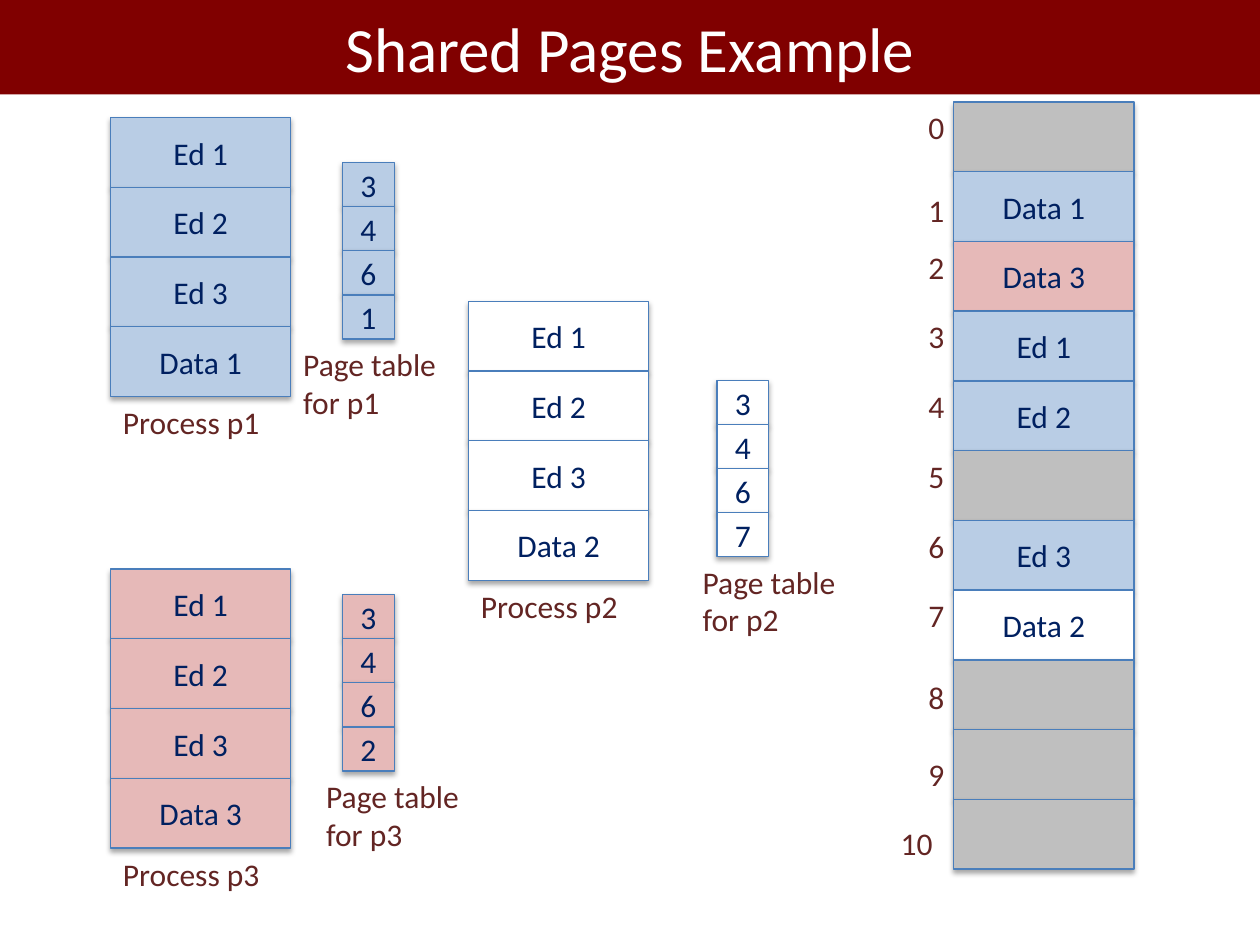
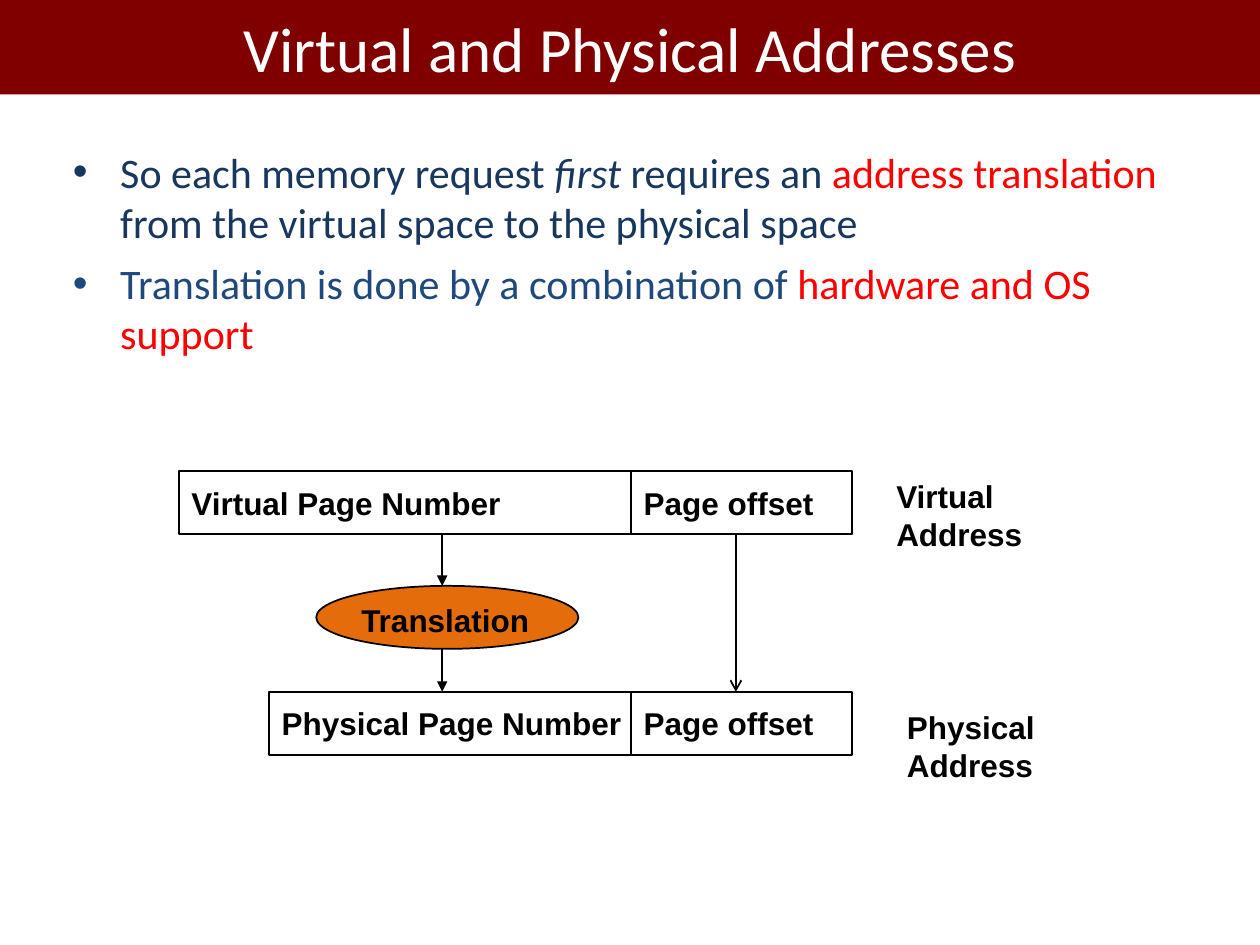
from lxml import etree
from pptx import Presentation
from pptx import util as u
from pptx.dml import color
from pptx.enum import shapes, text
from pptx.oxml import ns

COLORS = {
    "band": "800000",
    "white": "FFFFFF",
    "black": "000000",
    "free": "BFBFBF",
    "blue": "B9CDE5",
    "pink": "E6B9B8",
    "cell_line": "4A7EBB",
    "cell_text": "002060",
    "label": "632523",
    "translation": "E46C0A",
    "navy": "17375E",
    "body_blue": "1F497D",
    "red": "FF0000",
}
PAGE_WIDTH, PAGE_HEIGHT = 103, 39.85
ENTRY_WIDTH, ENTRY_HEIGHT = 29.5, 25.2
MEMORY_LEFT, MEMORY_TOP = 545, 58.3
FIELD_HEIGHT = 36
VIRTUAL_TOP, TRANSLATION_TOP, PHYSICAL_TOP = 269.3, 334.8, 395.3
OFFSET_LEFT, OFFSET_WIDTH = 360.7, 126


def rgb(name):
    return color.RGBColor.from_string(COLORS[name])


def add_element(parent, tag, **attributes):
    element = etree.SubElement(parent, ns.qn(tag))
    for name, value in attributes.items():
        element.set(name, str(value))
    return element


def write(shape, content, size=18, font="Calibri", ink="label", bold=False,
          align="LEFT", anchor="TOP", wrap=True):
    frame = shape.text_frame
    frame.word_wrap = wrap
    frame.vertical_anchor = getattr(text.MSO_ANCHOR, anchor)
    frame.text = content
    for paragraph in frame.paragraphs:
        paragraph.alignment = getattr(text.PP_ALIGN, align)
        for run in paragraph.runs:
            run.font.size = u.Pt(size)
            run.font.name = font
            run.font.bold = bold
            run.font.color.rgb = rgb(ink)


def add_box(slide, left, top, width, height, fill, line=None, weight=1,
            kind=shapes.MSO_SHAPE.RECTANGLE):
    shape = slide.shapes.add_shape(kind, u.Pt(left), u.Pt(top), u.Pt(width), u.Pt(height))
    shape.shadow.inherit = False
    shape.fill.solid()
    shape.fill.fore_color.rgb = rgb(fill)
    if line:
        shape.line.color.rgb = rgb(line)
        shape.line.width = u.Pt(weight)
    else:
        shape.line.fill.background()
    return shape


def add_label(slide, content, left, top, width, height=29, **style):
    shape = slide.shapes.add_textbox(u.Pt(left), u.Pt(top), u.Pt(width), u.Pt(height))
    write(shape, content, **style)


def add_shadow(shape):
    effects = shape._element.spPr.find(ns.qn("a:effectLst"))
    shadow = add_element(effects, "a:outerShdw", blurRad=u.Pt(3.1), dist=u.Pt(1.8),
                         dir=5400000, rotWithShape=0)
    shade = add_element(shadow, "a:srgbClr", val=COLORS["black"])
    add_element(shade, "a:alpha", val=35000)


def add_stack(slide, cells, left, top, width, height):
    for index, (content, fill) in enumerate(cells):
        cell = add_box(slide, left, top + index * height, width, height,
                       fill, "cell_line", 0.75)
        add_shadow(cell)
        if content:
            write(cell, content, ink="cell_text", align="CENTER", anchor="MIDDLE")


def add_process(slide, name, fill, pages, left, top):
    add_stack(slide, [(page, fill) for page in pages], left, top, PAGE_WIDTH, PAGE_HEIGHT)
    add_label(slide, f"Process {name}", left, top + 4 * PAGE_HEIGHT + 0.2, PAGE_WIDTH)


def add_page_table(slide, name, fill, frames, left, top, label_left, label_width):
    add_stack(slide, [(frame, fill) for frame in frames], left, top,
              ENTRY_WIDTH, ENTRY_HEIGHT)
    add_label(slide, f"Page table for {name}", label_left,
              top + 4 * ENTRY_HEIGHT - 0.2, label_width, 50.4)


def add_memory(slide, cells, nudges):
    add_stack(slide, cells, MEMORY_LEFT, MEMORY_TOP, PAGE_WIDTH, PAGE_HEIGHT)
    for number in range(len(cells)):
        left = MEMORY_LEFT - (21.6 if number < 10 else 37.4)
        top = MEMORY_TOP + number * PAGE_HEIGHT + nudges.get(number, 0)
        add_label(slide, str(number), left, top, 43.2)


def add_field(slide, content, left, top, width):
    field = add_box(slide, left, top, width, FIELD_HEIGHT, "white", "black")
    write(field, content, font="Arial", ink="black", bold=True,
          anchor="MIDDLE", wrap=False)


def add_arrow(slide, x, top, bottom, head):
    arrow = slide.shapes.add_connector(shapes.MSO_CONNECTOR.STRAIGHT, u.Pt(x), u.Pt(top),
                                       u.Pt(x), u.Pt(bottom))
    arrow.line.color.rgb = rgb("black")
    arrow.line.width = u.Pt(1)
    add_element(arrow.line._get_or_add_ln(), "a:tailEnd", type=head)
    add_element(arrow._element.spPr, "a:effectLst")


def add_bullets(slide, bullets, left, top, width, height):
    box = slide.shapes.add_textbox(u.Pt(left), u.Pt(top), u.Pt(width), u.Pt(height))
    frame = box.text_frame
    frame.word_wrap = True
    for index, (bullet_ink, runs) in enumerate(bullets):
        paragraph = frame.add_paragraph() if index else frame.paragraphs[0]
        properties = paragraph._p.get_or_add_pPr()
        properties.set("marL", str(u.Pt(27)))
        properties.set("indent", str(u.Pt(-27)))
        bullet_color = add_element(properties, "a:buClr")
        add_element(bullet_color, "a:srgbClr", val=COLORS[bullet_ink])
        add_element(properties, "a:buFont", typeface="Arial")
        add_element(properties, "a:buChar", char="•")
        if index:
            paragraph.space_before = u.Pt(6)
        for content, ink, italic in runs:
            run = paragraph.add_run()
            run.text = content
            run.font.size = u.Pt(24)
            run.font.name = "Calibri"
            run.font.italic = italic
            run.font.color.rgb = rgb(ink)


def add_titled_slide(presentation, title):
    slide = presentation.slides.add_slide(presentation.slide_layouts[6])
    band = add_box(slide, 0, 0, 720, 54, "band")
    write(band, title, size=36, ink="white", align="CENTER", anchor="MIDDLE")
    return slide


def build_shared_pages(presentation):
    slide = add_titled_slide(presentation, "Shared Pages Example")
    memory = [("", "free"), ("Data 1", "blue"), ("Data 3", "pink"), ("Ed 1", "blue"),
              ("Ed 2", "blue"), ("", "free"), ("Ed 3", "blue"), ("Data 2", "white"),
              ("", "free"), ("", "free"), ("", "free")]
    add_memory(slide, memory, {1: 7.2, 8: 6.5, 9: 10.8, 10: 10.5})
    editor = ["Ed 1", "Ed 2", "Ed 3"]
    processes = [
        ("p1", "blue", "Data 1", "3461", (63.2, 67.2), (195.8, 92.9), (166.2, 101.5)),
        ("p2", "white", "Data 2", "3467", (267.8, 172.2), (409.7, 217.4), (394.4, 113.8)),
        ("p3", "pink", "Data 3", "3462", (63.2, 325.2), (195.8, 339.8), (179.3, 107.3)),
    ]
    for name, fill, data, frames, pages_at, table_at, label_span in processes:
        add_process(slide, name, fill, editor + [data], *pages_at)
        add_page_table(slide, name, fill, frames, *table_at, *label_span)


def build_addresses(presentation):
    slide = add_titled_slide(presentation, "Virtual and Physical Addresses")
    rows = [("Virtual Page Number", 102.3, VIRTUAL_TOP),
            ("Physical Page Number", 153.9, PHYSICAL_TOP)]
    for content, left, top in rows:
        add_field(slide, content, left, top, OFFSET_LEFT - left)
        add_field(slide, "Page offset", OFFSET_LEFT, top, OFFSET_WIDTH)
    add_box(slide, 180.7, TRANSLATION_TOP, 149.8, FIELD_HEIGHT, "translation", "black",
            kind=shapes.MSO_SHAPE.OVAL)
    virtual_bottom = VIRTUAL_TOP + FIELD_HEIGHT
    add_arrow(slide, 420.5, virtual_bottom, PHYSICAL_TOP, "arrow")
    add_arrow(slide, 252.7, virtual_bottom, TRANSLATION_TOP, "triangle")
    add_arrow(slide, 252.7, TRANSLATION_TOP + FIELD_HEIGHT, PHYSICAL_TOP, "triangle")
    diagram = {"font": "Arial", "ink": "black", "bold": True}
    add_label(slide, "Translation", 199.4, 339.8, 110.2, wrap=False, **diagram)
    add_label(slide, "Virtual\vAddress", 505.1, VIRTUAL_TOP, 146.2, **diagram)
    add_label(slide, "Physical Address", 511.2, 401, 163.4, wrap=False, **diagram)
    add_bullets(slide, [
        ("navy", [("So each memory request ", "navy", False),
                  ("first", "navy", True),
                  (" requires an ", "navy", False),
                  ("address translation ", "red", False),
                  ("from the virtual space to the physical space", "navy", False)]),
        ("body_blue", [("Translation is done by a combination of ", "body_blue", False),
                       ("hardware and OS support", "red", False)]),
    ], 34.6, 80, 642.2, 116.6)


def main():
    presentation = Presentation()
    presentation.slide_width = u.Pt(720)
    presentation.slide_height = u.Pt(540)
    build_shared_pages(presentation)
    build_addresses(presentation)
    presentation.save("out.pptx")


if __name__ == "__main__":
    main()
